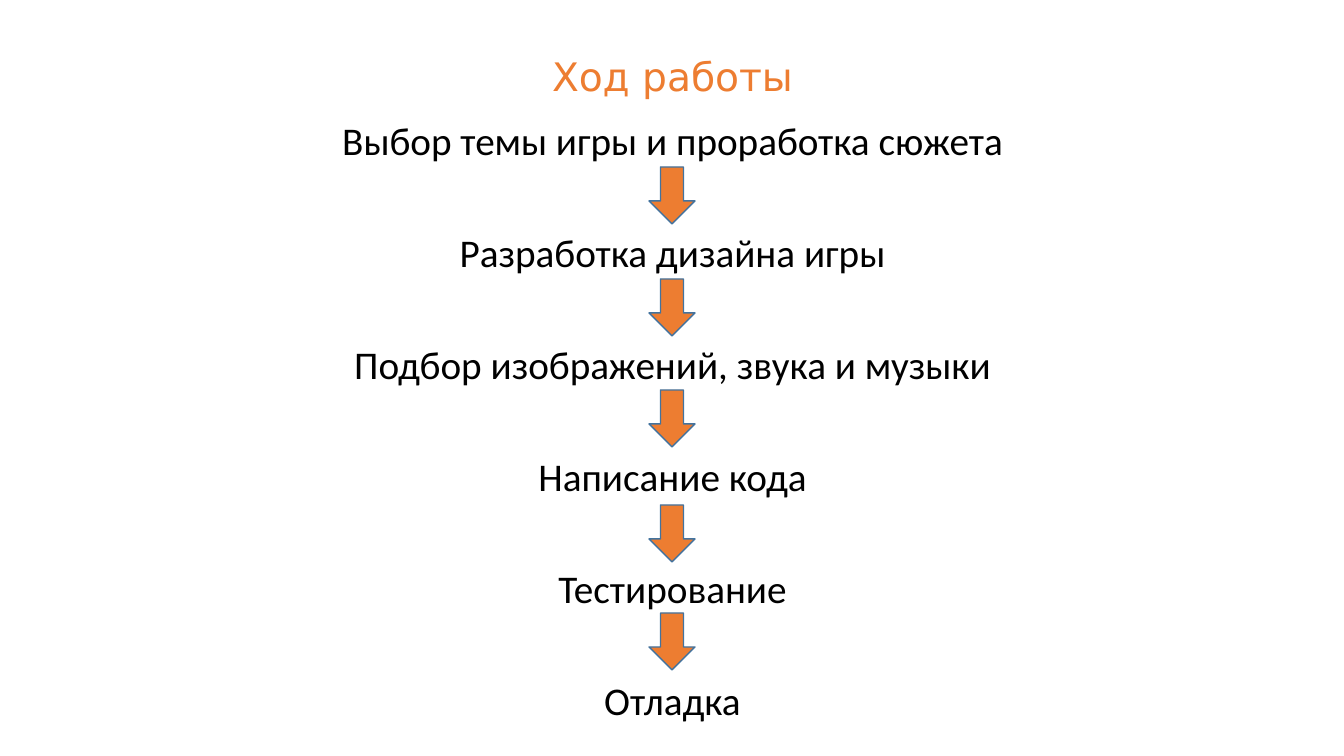
import pptx
import pptx.dml.color
import pptx.enum.shapes
import pptx.enum.text
import pptx.util

RGBColor = pptx.dml.color.RGBColor
Pt = pptx.util.Pt
ORANGE = RGBColor(0xED, 0x7D, 0x31)
BLUE = RGBColor(0x43, 0x73, 0x9E)
BLACK = RGBColor(0, 0, 0)

STEPS = [
    "Выбор темы игры и проработка сюжета",
    "Разработка дизайна игры",
    "Подбор изображений, звука и музыки",
    "Написание кода",
    "Тестирование",
    "Отладка",
]
ARROW_TOPS = [167, 279, 390, 505, 613]


def px(n):
    return pptx.util.Emu(round(n * 914400 / 100.8))


def place(sp, left, top, width, height):
    sp.left, sp.top, sp.width, sp.height = map(px, (left, top, width, height))


def write(p, text, font="Calibri", size=28, color=BLACK, before=0, line=1.0):
    p.alignment = pptx.enum.text.PP_ALIGN.CENTER
    p.space_before = Pt(before)
    p.line_spacing = line
    r = p.add_run()
    r.text = text
    r.font.name = font
    r.font.size = Pt(size)
    r.font.color.rgb = color


def add_title(s, text):
    sp = s.shapes.title
    place(sp, 93, 44, 1159, 69)
    tf = sp.text_frame
    tf.vertical_anchor = pptx.enum.text.MSO_ANCHOR.MIDDLE
    write(tf.paragraphs[0], text, font="DejaVu Sans", color=ORANGE, line=0.9)


def add_steps(s, steps):
    """One text box with a paragraph per step, spaced to leave room for arrows."""
    sp = s.shapes.add_textbox(px(93), px(111), px(1159), px(617))
    tf = sp.text_frame
    tf.word_wrap = True
    for i, step in enumerate(steps):
        p = tf.add_paragraph() if i else tf.paragraphs[0]
        write(p, step, before=46.4 if i else 0)


def add_arrow(s, top):
    sp = s.shapes.add_shape(pptx.enum.shapes.MSO_SHAPE.DOWN_ARROW,
                            px(649), px(top), px(46), px(57))
    sp.shadow.inherit = False
    sp.fill.solid()
    sp.fill.fore_color.rgb = ORANGE
    sp.line.color.rgb = BLUE
    sp.line.width = Pt(1)


def main():
    prs = pptx.Presentation()
    prs.slide_width, prs.slide_height = px(1344), px(756)
    s = prs.slides.add_slide(prs.slide_layouts[5])
    add_title(s, "Ход работы")
    add_steps(s, STEPS)
    for top in ARROW_TOPS:
        add_arrow(s, top)
    prs.save("out.pptx")


if __name__ == "__main__":
    main()
